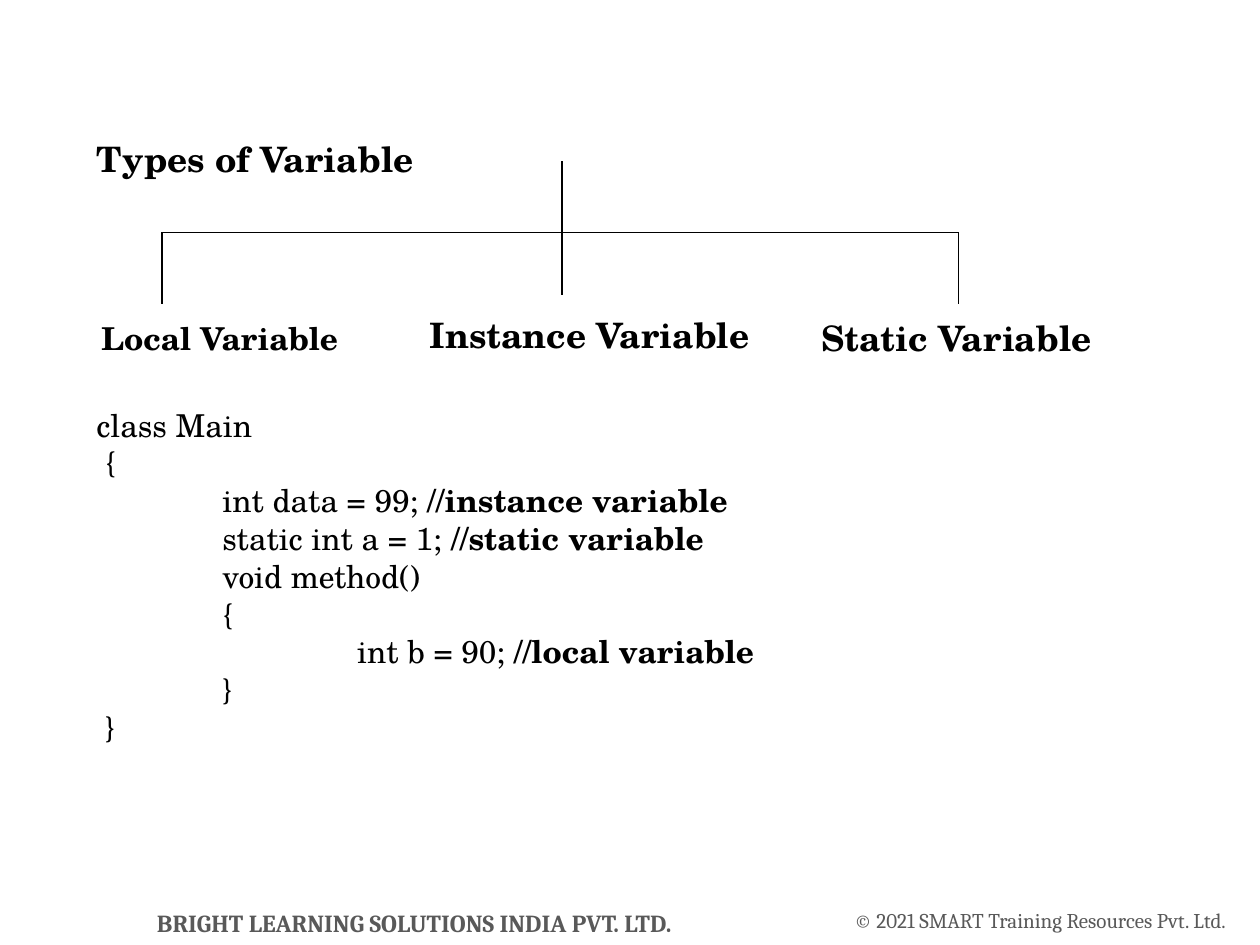
"""Build a slide that shows the types of variable as a tree above a code sample."""
from dataclasses import dataclass

from pptx import Presentation
from pptx.dml.color import RGBColor
from pptx.enum.shapes import MSO_CONNECTOR
from pptx.enum.text import MSO_ANCHOR, MSO_AUTO_SIZE, PP_ALIGN
from pptx.oxml.ns import qn
from pptx.util import Inches, Length, Pt

COLUMNS, ROWS = 100, 75
SLIDE_WIDTH, SLIDE_HEIGHT = Inches(10), Inches(7.5)
COLORS = {"text": "000000", "footer": "595959"}
MAIN_FONT, FOOTER_FONT = "TeX Gyre Schola", "Cambria"
TRUNK_TOP, BRANCH_ROW = 12.8, 18.44
TAB_COLUMNS = 10


@dataclass(frozen=True)
class Area:
    column: float
    row: float
    columns: float
    rows: float


@dataclass(frozen=True)
class Label:
    text: str
    area: Area
    size: float
    align: PP_ALIGN = PP_ALIGN.CENTER
    bold: bool = True
    font: str = MAIN_FONT
    color: str = "text"
    margin: float | None = None
    anchor: MSO_ANCHOR = MSO_ANCHOR.TOP
    spacing: float = 1.0
    wrap: bool = True


@dataclass(frozen=True)
class Line:
    start: tuple[float, float]
    end: tuple[float, float]


@dataclass(frozen=True)
class CodeLine:
    code: str
    comment: str = ""


TITLE = Label("Types of Variable", Area(6.67, 10, 86.2, 5.1), 20, PP_ALIGN.LEFT,
              anchor=MSO_ANCHOR.MIDDLE)
LABELS = (
    Label("Local Variable", Area(6.1, 24.8, 22.7, 4.4), 18),
    Label("Instance Variable", Area(32.5, 24.8, 28.6, 4.4), 20, spacing=0.9),
    Label("Static Variable", Area(64.2, 25, 23.9, 4.4), 20, PP_ALIGN.LEFT, spacing=0.9),
    Label("BRIGHT LEARNING SOLUTIONS INDIA PVT. LTD.", Area(8.3, 72, 49.2, 2.4), 14,
          font=FOOTER_FONT, color="footer", margin=0, anchor=MSO_ANCHOR.MIDDLE),
    Label("© 2021 SMART Training Resources Pvt. Ltd.", Area(66.6, 72, 31.9, 2), 12,
          bold=False, font=FOOTER_FONT, color="footer", margin=0,
          anchor=MSO_ANCHOR.MIDDLE, wrap=False),
)
LINES = (
    Line((44.6, TRUNK_TOP), (44.6, BRANCH_ROW)),
    Line((12.8, BRANCH_ROW), (76.1, BRANCH_ROW)),
    Line((44.6, 17.7), (44.6, 23.4)),
    Line((76.1, BRANCH_ROW), (76.1, 24.1)),
    Line((12.86, BRANCH_ROW), (12.86, 24.1)),
)
CODE_AREA = Area(6.67, 31.7, 88.3, 28.3)
CODE = (
    CodeLine("class Main"),
    CodeLine(" {"),
    CodeLine(" \tint data = 99; ", "//instance variable"),
    CodeLine("\tstatic int a = 1;", " //static variable"),
    CodeLine(" \tvoid method()"),
    CodeLine(" \t{"),
    CodeLine("\t\t int b = 90; ", "//local variable"),
    CodeLine(" \t}"),
    CodeLine(" }"),
)


def across(columns: float) -> Length:
    """Return the width of a number of grid columns."""
    return Length(round(SLIDE_WIDTH * columns / COLUMNS))


def down(rows: float) -> Length:
    """Return the height of a number of grid rows."""
    return Length(round(SLIDE_HEIGHT * rows / ROWS))


def place(area: Area) -> tuple[Length, Length, Length, Length]:
    """Return left, top, width and height of an area."""
    return across(area.column), down(area.row), across(area.columns), down(area.rows)


def format_run(run, font: str, size: float, color: str, bold: bool) -> None:
    """Set the font of one run."""
    run.font.name = font
    run.font.size = Pt(size)
    run.font.bold = bold
    run.font.color.rgb = RGBColor.from_string(COLORS[color])


def fill_label(shape, label: Label) -> None:
    """Write a label into a shape and format it."""
    text_frame = shape.text_frame
    text_frame.text = label.text
    text_frame.word_wrap = label.wrap
    text_frame.auto_size = MSO_AUTO_SIZE.NONE
    text_frame.vertical_anchor = label.anchor
    if label.margin is not None:
        text_frame.margin_left = text_frame.margin_right = Inches(label.margin)
        text_frame.margin_top = text_frame.margin_bottom = Inches(label.margin)
    paragraph = text_frame.paragraphs[0]
    paragraph.alignment = label.align
    paragraph.line_spacing = label.spacing
    format_run(paragraph.runs[0], label.font, label.size, label.color, label.bold)


def place_title(slide, label: Label) -> None:
    """Move and format the title placeholder."""
    title = slide.shapes.title
    title.left, title.top, title.width, title.height = place(label.area)
    fill_label(title, label)


def draw_line(slide, line: Line) -> None:
    """Draw one thin line of the tree."""
    connector = slide.shapes.add_connector(
        MSO_CONNECTOR.STRAIGHT, across(line.start[0]), down(line.start[1]),
        across(line.end[0]), down(line.end[1]))
    connector.line.width = Pt(0.75)
    connector.line.color.rgb = RGBColor.from_string(COLORS["text"])
    properties = connector.element.spPr
    properties.append(properties.makeelement(qn("a:effectLst"), {}))


def set_tab_stops(paragraph, count: int = 2) -> None:
    """Give a paragraph evenly spaced left tab stops."""
    properties = paragraph._p.get_or_add_pPr()
    properties.set("defTabSz", str(across(TAB_COLUMNS)))
    tab_list = properties.makeelement(qn("a:tabLst"), {})
    for number in range(1, count + 1):
        position = str(across(number * TAB_COLUMNS))
        tab_list.append(tab_list.makeelement(qn("a:tab"), {"pos": position, "algn": "l"}))
    properties.append(tab_list)


def draw_code(slide, area: Area, code: tuple[CodeLine, ...]) -> None:
    """Write the code sample with its comments in bold."""
    text_frame = slide.shapes.add_textbox(*place(area)).text_frame
    text_frame.word_wrap = True
    text_frame.text = "\n".join(line.code for line in code)
    for paragraph, line in zip(text_frame.paragraphs, code):
        set_tab_stops(paragraph)
        format_run(paragraph.runs[0], MAIN_FONT, 18, "text", False)
        if line.comment:
            run = paragraph.add_run()
            run.text = line.comment
            format_run(run, MAIN_FONT, 18, "text", True)


def main() -> None:
    """Build and save the presentation."""
    presentation = Presentation()
    presentation.slide_width, presentation.slide_height = SLIDE_WIDTH, SLIDE_HEIGHT
    slide = presentation.slides.add_slide(presentation.slide_layouts.get_by_name("Title Only"))
    place_title(slide, TITLE)
    for line in LINES:
        draw_line(slide, line)
    for label in LABELS:
        fill_label(slide.shapes.add_textbox(*place(label.area)), label)
    draw_code(slide, CODE_AREA, CODE)
    presentation.save("out.pptx")


if __name__ == "__main__":
    main()
